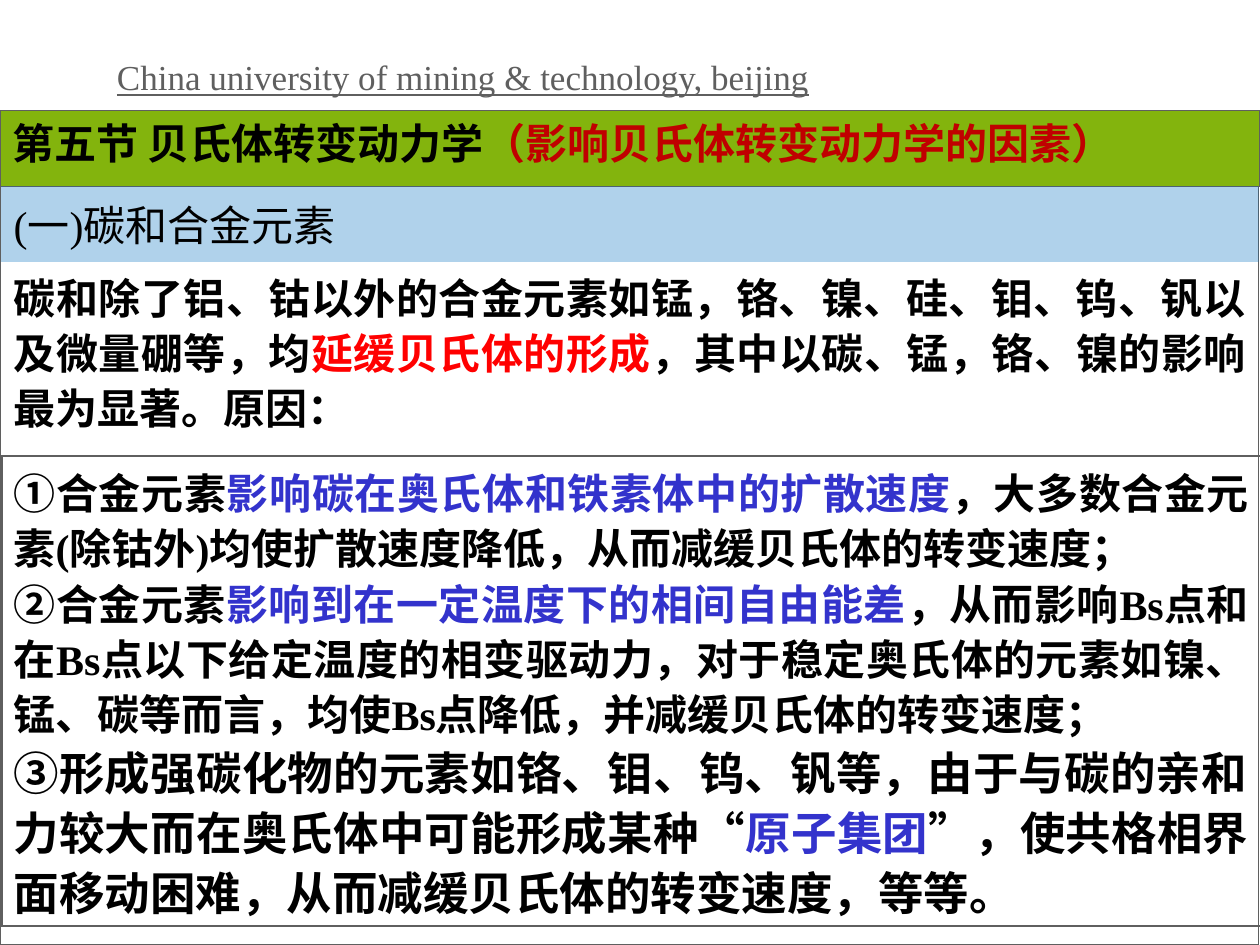
from lxml.etree import SubElement
from pptx import Presentation
from pptx.dml.color import RGBColor
from pptx.enum.lang import MSO_LANGUAGE_ID as LANG
from pptx.enum.shapes import MSO_SHAPE as SHAPE
from pptx.enum.text import MSO_ANCHOR as ANCHOR, PP_ALIGN as ALIGN
from pptx.oxml.ns import qn
from pptx.util import Inches, Pt

THEME = {
    "gray": "5F5F5F", "white": "FFFFFF", "green": "83B40D", "blue": "0070C0",
    "black": "000000", "crimson": "C00000", "red": "FF0000", "indigo": "3333CC",
    "serif": "Times New Roman", "sans": "Arial",
    "small": 20, "body": 24, "large": 26,
}

HEADER = [[("China university of mining & technology, beijing", "gray")]]
SECTION = [[("第五节 贝氏体转变动力学", "black"),
            ("（影响贝氏体转变动力学的因素）", "crimson")]]
TOPIC = [[("(一)碳和合金元素", "black")]]
INTRO = [[
    ("碳和除了铝、钴以外的合金元素如锰，铬、镍、硅、钼、钨、钒以及微量硼等，均", "black"),
    ("延缓贝氏体的形成", "red"),
    ("，其中以碳、锰，铬、镍的影响最为显著。原因：", "black"),
]]
REASONS = [
    [("①合金元素", "black"),
     ("影响碳在奥氏体和铁素体中的扩散速度", "indigo"),
     ("，大多数合金元素(除钴外)均使扩散速度降低，从而减缓贝氏体的转变速度；", "black")],
    [("②合金元素", "black"),
     ("影响到在一定温度下的相间自由能差", "indigo"),
     ("，从而影响Bs点和在Bs点以下给定温度的相变驱动力，对于稳定奥氏体的元素如镍、锰、碳等而言，"
      "均使Bs点降低，并减缓贝氏体的转变速度；", "black")],
    [("③形成强碳化物的元素如铬、钼、钨、钒等，由于与碳的亲和力较大而在奥氏体中可能形成某种“", "black"),
     ("原子集团", "indigo"),
     ("”，使共格相界面移动困难，从而减缓贝氏体的转变速度，等等。", "black")],
]


def color(name):
    return RGBColor.from_string(THEME[name])


def add_panel(slide, box, fill=None, alpha=None, line=None):
    s = slide.shapes.add_shape(SHAPE.RECTANGLE, *map(Inches, box))
    s.shadow.inherit = False
    if fill:
        s.fill.solid()
        s.fill.fore_color.rgb = color(fill)
    else:
        s.fill.background()
    if alpha:
        clr = s.fill._xPr.find(".//" + qn("a:srgbClr"))
        SubElement(clr, qn("a:alpha"), val=str(alpha * 1000))
    if line:
        s.line.color.rgb = color("gray")
        s.line.width = Pt(line)
    else:
        s.line.fill.background()
    return s


def write(s, text, sizes=("body",), font="serif", bold=False, underline=False,
          align=ALIGN.LEFT, anchor=ANCHOR.TOP, spacing=1.0):
    tf = s.text_frame
    tf.word_wrap = True
    tf.vertical_anchor = anchor
    for i, runs in enumerate(text):
        p = tf.add_paragraph() if i else tf.paragraphs[0]
        p.alignment = align
        p.line_spacing = spacing
        for words, shade in runs:
            r = p.add_run()
            r.text = words
            r.font.name = THEME[font]
            r.font.size = Pt(THEME[sizes[i]])
            r.font.bold = bold
            r.font.underline = underline
            r.font.color.rgb = color(shade)
            r.font.language_id = LANG.SIMPLIFIED_CHINESE


def main():
    prs = Presentation()
    prs.slide_width, prs.slide_height = Inches(10), Inches(7.5)
    slide = prs.slides.add_slide(prs.slide_layouts[6])

    add_panel(slide, (0, 1.48, 9.99, 6.02), fill="white", line=0.75)
    header = slide.shapes.add_textbox(*map(Inches, (0.83, 0.28, 7.18, 0.55)))
    write(header, HEADER, sizes=("small",), underline=True,
          anchor=ANCHOR.BOTTOM, spacing=0.9)

    section = add_panel(slide, (0, 0.88, 10, 0.6), fill="green", line=0.75)
    write(section, SECTION, font="sans", bold=True)

    topic = add_panel(slide, (0.01, 1.48, 9.98, 0.6), fill="blue", alpha=31)
    write(topic, TOPIC, anchor=ANCHOR.MIDDLE)

    intro = slide.shapes.add_textbox(*map(Inches, (0.01, 2.07, 9.98, 1.4)))
    write(intro, INTRO, bold=True, align=ALIGN.JUSTIFY, spacing=1.1)

    reasons = add_panel(slide, (0.01, 3.62, 10, 3.73), line=1.5)
    write(reasons, REASONS, sizes=("body", "body", "large"), bold=True,
          align=ALIGN.JUSTIFY, spacing=1.1)

    prs.save("out.pptx")


if __name__ == "__main__":
    main()
